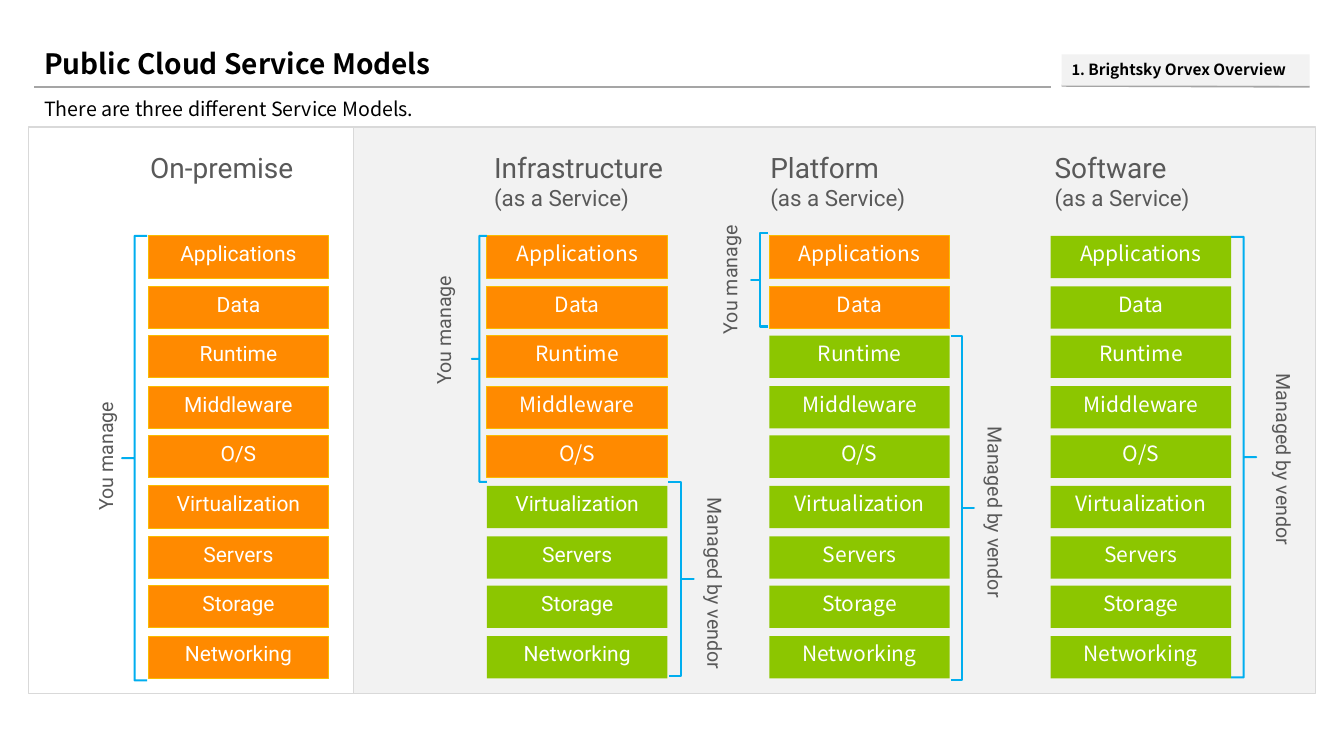
from pptx import Presentation
from pptx.dml.color import RGBColor
from pptx.enum.shapes import MSO_CONNECTOR, MSO_SHAPE
from pptx.enum.text import MSO_ANCHOR, MSO_AUTO_SIZE, PP_ALIGN
from pptx.oxml.ns import qn
from pptx.util import Pt
from lxml.etree import SubElement

PX = 9144  # 100 px to the inch

BLACK = RGBColor(0x00, 0x00, 0x00)
WHITE = RGBColor(0xFF, 0xFF, 0xFF)
GREY_TEXT = RGBColor(0x59, 0x59, 0x59)
RULE_GREY = RGBColor(0xA5, 0xA5, 0xA5)
PANEL_GREY = RGBColor(0xF2, 0xF2, 0xF2)
PANEL_EDGE = RGBColor(0xD9, 0xD9, 0xD9)
ORANGE = RGBColor(0xFF, 0x8A, 0x00)
ORANGE_EDGE = RGBColor(0xF9, 0xBC, 0x00)
GREEN = RGBColor(0x8C, 0xC6, 0x00)
BRACE_BLUE = RGBColor(0x00, 0xAE, 0xEF)

NOTO = "Noto Sans CJK KR"
ROBOTO = "Roboto"

LAYERS = ["Applications", "Data", "Runtime", "Middleware", "O/S",
          "Virtualization", "Servers", "Storage", "Networking"]
STACK_TOP, STACK_SPAN = 234, 397
LAYER_WIDTH, LAYER_HEIGHT = 179, 42

# Heading, heading left, stack left, layers you manage, your font, vendor font
MODELS = [
    ("On-premise", 149, 147, 9, ROBOTO, ROBOTO),
    ("Infrastructure", 490, 483, 5, NOTO, ROBOTO),
    ("Platform", 764, 763, 2, NOTO, NOTO),
    ("Software", 1046, 1042, 0, NOTO, NOTO),
]

# Brace box, then left and top of its label
YOU_MANAGE = [
    ((121, 234, 25, 441), (88, 394)),
    ((468, 234, 15, 244), (423, 269)),
    ((745, 231, 17, 93), (707, 219)),
]
VENDOR_MANAGES = [
    ((663, 478, 25, 193), (682, 484)),
    ((943, 333, 23, 342), (960, 413)),
    ((1221, 235, 25, 437), (1246, 361)),
]


def emu(*lengths):
    return [length * PX for length in lengths]


def apply_format(target, values):
    for attribute, value in values.items():
        setattr(target, attribute, value)


def write(frame, paragraphs, font, color, bold=False, layout=None, **frame_format):
    """Each paragraph is a list of (text, size) runs."""
    apply_format(frame, {"word_wrap": True, **frame_format})
    for index, runs in enumerate(paragraphs):
        paragraph = frame.add_paragraph() if index else frame.paragraphs[0]
        apply_format(paragraph, layout or {})
        for text, size in runs:
            run = paragraph.add_run()
            run.text = text
            apply_format(run.font, {"name": font, "size": Pt(size), "bold": bold})
            run.font.color.rgb = color


def add_text(slide, box, paragraphs, font, color, **options):
    frame = slide.shapes.add_textbox(*emu(*box)).text_frame
    write(frame, paragraphs, font, color, **options)
    return frame


def add_block(slide, box, fill=None, edge=None, width=0.75, preset=MSO_SHAPE.RECTANGLE):
    block = slide.shapes.add_shape(preset, *emu(*box))
    block.shadow.inherit = False
    if fill is None:
        block.fill.background()
    else:
        block.fill.solid()
        block.fill.fore_color.rgb = fill
    if edge is None:
        block.line.fill.background()
    else:
        block.line.color.rgb = edge
        block.line.width = Pt(width)
    return block


def add_rule(slide, *ends):
    rule = slide.shapes.add_connector(MSO_CONNECTOR.STRAIGHT, *emu(*ends))
    rule.line.color.rgb = RULE_GREY
    rule.line.width = Pt(1.5)
    SubElement(rule._element.spPr, qn("a:effectLst"))


def add_brace(slide, box, opens_left=False):
    brace = add_block(slide, box, edge=BRACE_BLUE, width=1.5, preset=MSO_SHAPE.LEFT_BRACE)
    brace.adjustments[0] = 0
    brace.adjustments[1] = 0.5
    if opens_left:
        brace.rotation = 180


def add_side_label(slide, text, corner, length, direction):
    frame = add_text(slide, (*corner, 44, length), [[(text, 14)]], ROBOTO, GREY_TEXT,
                     layout={"alignment": PP_ALIGN.CENTER},
                     word_wrap=False, auto_size=MSO_AUTO_SIZE.SHAPE_TO_FIT_TEXT)
    frame._txBody.bodyPr.set("vert", direction)


def add_header(slide):
    add_rule(slide, 1053, 85, 1299, 86)
    add_rule(slide, 34, 86, 1042, 86)
    middle = {"vertical_anchor": MSO_ANCHOR.MIDDLE}
    tight = {"line_spacing": 0.9}
    add_text(slide, (34, 40, 1007, 46), [[("Public Cloud Service Models", 20)]],
             NOTO, BLACK, bold=True, **middle)
    section = add_block(slide, (1053, 54, 246, 31), PANEL_GREY)
    write(section.text_frame, [[("1. ", 10.5), ("Brightsky Orvex Overview", 11)]],
          NOTO, BLACK, bold=True,
          layout={"alignment": PP_ALIGN.LEFT, **tight}, **middle)
    add_text(slide, (34, 86, 1265, 47), [[("There are three different Service Models.", 14)]],
             NOTO, BLACK, layout=tight, **middle)


def add_model(slide, heading, heading_left, stack_left, own_count, own_font, vendor_font):
    lines = [[(heading, 20)]]
    if own_count < len(LAYERS):
        lines.append([("(as a Service)", 16)])
    add_text(slide, (heading_left, 149, 204, 70), lines, ROBOTO, GREY_TEXT,
             margin_left=0, margin_right=0, margin_top=0, margin_bottom=0)
    for index, layer in enumerate(LAYERS):
        top = STACK_TOP + round(index * STACK_SPAN / (len(LAYERS) - 1))
        own = index < own_count
        block = add_block(slide, (stack_left, top, LAYER_WIDTH, LAYER_HEIGHT),
                          ORANGE if own else GREEN, ORANGE_EDGE if own else None)
        write(block.text_frame, [[(layer, 15)]], own_font if own else vendor_font, WHITE,
              layout={"alignment": PP_ALIGN.CENTER}, margin_left=0, margin_right=0,
              vertical_anchor=MSO_ANCHOR.TOP)


def main():
    deck = Presentation()
    deck.slide_width, deck.slide_height = emu(1333, 750)
    slide = deck.slides.add_slide(deck.slide_layouts[6])

    add_header(slide)

    # Panels: cloud services on the right, on-premise on the left
    add_block(slide, (351, 126, 954, 562), PANEL_GREY, PANEL_EDGE)
    add_block(slide, (28, 126, 323, 562), edge=PANEL_EDGE)

    # Service models
    for model in MODELS:
        add_model(slide, *model)

    # Who manages which layers
    for brace, corner in YOU_MANAGE:
        add_brace(slide, brace)
        add_side_label(slide, "You manage", corner, 117, "vert270")
    for brace, corner in VENDOR_MANAGES:
        add_brace(slide, brace, opens_left=True)
        add_side_label(slide, "Managed by vendor", corner, 185, "eaVert")

    deck.save("out.pptx")


if __name__ == "__main__":
    main()
